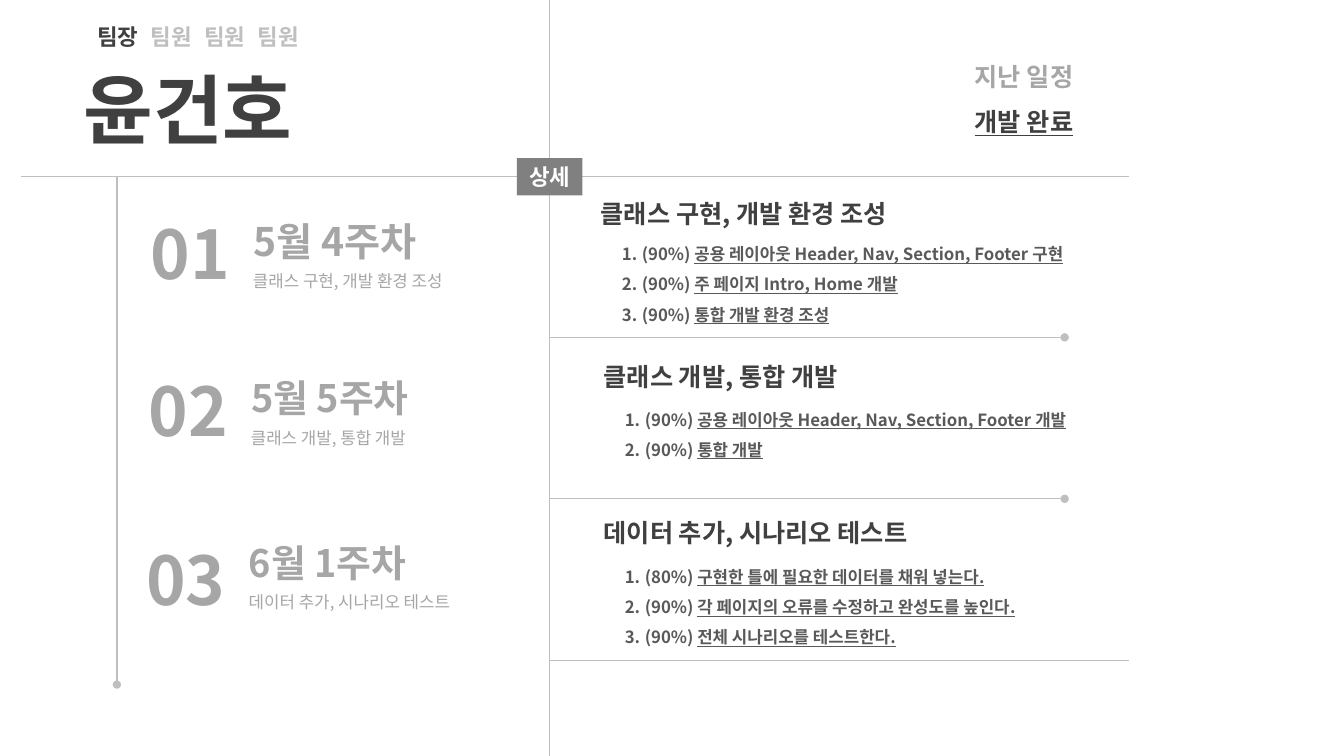
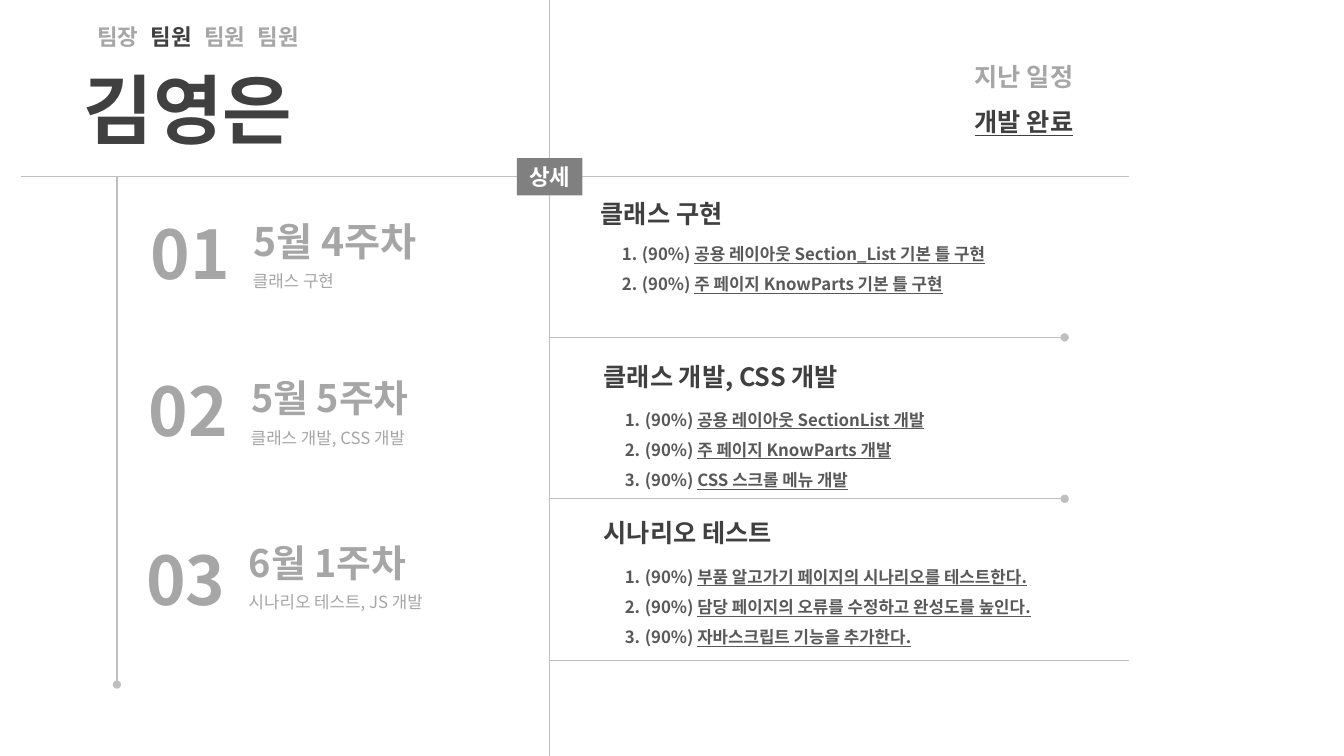
from lxml import etree
from pptx import Presentation
from pptx.dml.color import RGBColor
from pptx.enum import shapes, text
from pptx.oxml import ns
from pptx.util import Pt

FONT = "Noto Sans CJK KR"
DARK, BODY, MUTED, RULE, BADGE, WHITE = "404040", "595959", "A6A6A6", "BFBFBF", "808080", "FFFFFF"
WIDTH, HEIGHT = 960, 540
AXIS, HEADER_BOTTOM, RIGHT_EDGE = 392.5, 126, 806.5
NARROW, WIDE = 7.2, 8.64

WEEK_PLACES = [(98, 152, 3.6, 28), (96.5, 264.2, 3.6, 27), (95, 381.6, 0.7, 27)]
DETAIL_PLACES = [(420.5, 138.2, 25.2), (422.6, 254.2, 27.4), (422.6, 365.8, 28.1)]
WEEKS = ["5월 4주차", "5월 5주차", "6월 1주차"]

MEMBERS = [
    {
        "name": "윤건호", "role": 0, "other_roles": RULE,
        "summaries": ["클래스 구현, 개발 환경 조성", "클래스 개발, 통합 개발", "데이터 추가, 시나리오 테스트"],
        "details": [
            ("클래스 구현, 개발 환경 조성", [
                ("90%", "공용 레이아웃 Header, Nav, Section, Footer 구현"),
                ("90%", "주 페이지 Intro, Home 개발"),
                ("90%", "통합 개발 환경 조성")]),
            ("클래스 개발, 통합 개발", [
                ("90%", "공용 레이아웃 Header, Nav, Section, Footer 개발"),
                ("90%", "통합 개발")]),
            ("데이터 추가, 시나리오 테스트", [
                ("80%", "구현한 틀에 필요한 데이터를 채워 넣는다."),
                ("90%", "각 페이지의 오류를 수정하고 완성도를 높인다."),
                ("90%", "전체 시나리오를 테스트한다.")]),
        ],
    },
    {
        "name": "김영은", "role": 1, "other_roles": MUTED,
        "summaries": ["클래스 구현", "클래스 개발, CSS 개발", "시나리오 테스트, JS 개발"],
        "details": [
            ("클래스 구현", [
                ("90%", "공용 레이아웃 Section_List 기본 틀 구현"),
                ("90%", "주 페이지 KnowParts 기본 틀 구현")]),
            ("클래스 개발, CSS 개발", [
                ("90%", "공용 레이아웃 SectionList 개발"),
                ("90%", "주 페이지 KnowParts 개발"),
                ("90%", "CSS 스크롤 메뉴 개발")]),
            ("시나리오 테스트", [
                ("90%", "부품 알고가기 페이지의 시나리오를 테스트한다."),
                ("90%", "담당 페이지의 오류를 수정하고 완성도를 높인다."),
                ("90%", "자바스크립트 기능을 추가한다.")]),
        ],
    },
]


def rgb(value):
    return RGBColor.from_string(value)


def style(run, size, color, bold=True, underline=False, latin=FONT):
    font = run.font
    font.size, font.bold, font.name = Pt(size), bold, latin
    if underline:
        font.underline = True
    font.color.rgb = rgb(color)
    east_asian = etree.SubElement(run._r.get_or_add_rPr(), ns.qn("a:ea"))
    east_asian.set("typeface", FONT)


def prepare(frame, inset=NARROW, anchor=text.MSO_ANCHOR.TOP):
    frame.margin_left = frame.margin_right = Pt(inset)
    frame.margin_top = frame.margin_bottom = Pt(3.6)
    frame.word_wrap = True
    frame.auto_size = text.MSO_AUTO_SIZE.SHAPE_TO_FIT_TEXT
    frame.vertical_anchor = anchor


def add_frame(slide, box, inset=NARROW, anchor=text.MSO_ANCHOR.TOP):
    frame = slide.shapes.add_textbox(*map(Pt, box)).text_frame
    prepare(frame, inset, anchor)
    return frame


def add_label(slide, box, words, size, color, bold=True, inset=WIDE, align=text.PP_ALIGN.LEFT):
    frame = add_frame(slide, box, inset)
    frame.text = words
    paragraph = frame.paragraphs[0]
    paragraph.alignment = align
    style(paragraph.runs[0], size, color, bold)


def add_rule(slide, x1, y1, x2, y2, dotted=False):
    rule = slide.shapes.add_connector(shapes.MSO_CONNECTOR.STRAIGHT, *map(Pt, (x1, y1, x2, y2)))
    rule.line.color.rgb = rgb(RULE)
    rule.line.width = Pt(1)
    if dotted:
        etree.SubElement(rule.line._get_or_add_ln(), ns.qn("a:tailEnd")).set("type", "oval")
    etree.SubElement(rule._element.spPr, ns.qn("a:effectLst"))


def add_rules(slide):
    add_rule(slide, 15, HEADER_BOTTOM, RIGHT_EDGE, HEADER_BOTTOM)
    add_rule(slide, AXIS, 0, AXIS, HEIGHT)
    add_rule(slide, 83.5, HEADER_BOTTOM, 83.5, 489, dotted=True)
    for row, end in enumerate([760.5, 760.5, RIGHT_EDGE]):
        y = 241 + 115.3 * row
        add_rule(slide, AXIS, y, end, y, dotted=end < RIGHT_EDGE)


def add_badge(slide, box):
    badge = slide.shapes.add_shape(shapes.MSO_SHAPE.RECTANGLE, *map(Pt, box))
    badge.shadow.inherit = False
    badge.fill.solid()
    badge.fill.fore_color.rgb = rgb(BADGE)
    badge.line.fill.background()
    frame = badge.text_frame
    frame.text = "상세"
    frame.vertical_anchor = text.MSO_ANCHOR.MIDDLE
    frame.paragraphs[0].alignment = text.PP_ALIGN.CENTER
    style(frame.paragraphs[0].runs[0], 16, WHITE, latin="Arial")


def add_name(slide, box, name):
    title = slide.shapes.title
    title.left, title.top, title.width, title.height = map(Pt, box)
    frame = title.text_frame
    frame.text = name
    prepare(frame, anchor=text.MSO_ANCHOR.MIDDLE)
    frame.paragraphs[0].alignment = text.PP_ALIGN.LEFT
    style(frame.paragraphs[0].runs[0], 54, DARK)


def add_roles(slide, box, active, other_color):
    frame = add_frame(slide, box, inset=0, anchor=text.MSO_ANCHOR.MIDDLE)
    paragraph = frame.paragraphs[0]
    stops = etree.SubElement(paragraph._p.get_or_add_pPr(), ns.qn("a:tabLst"))
    for index, role in enumerate(["팀장", "팀원", "팀원", "팀원"]):
        if index:
            stop = etree.SubElement(stops, ns.qn("a:tab"))
            stop.set("pos", str(Pt(38.2 * index)))
            stop.set("algn", "l")
        run = paragraph.add_run()
        run.text = "\t" + role if index else role
        style(run, 16, DARK if index == active else other_color)


def add_status(slide, box):
    frame = add_frame(slide, box, WIDE)
    frame.text = "지난 일정\n개발 완료"
    for paragraph, color in zip(frame.paragraphs, [MUTED, DARK]):
        paragraph.line_spacing = 1.5
        style(paragraph.runs[0], 18, color, underline=color == DARK)


def add_week(slide, place, number, week, summary):
    left, top, rise, size = place
    add_label(slide, (left, top - rise, 75.6, 65.5), f"{number:02}", 48, MUTED,
              align=text.PP_ALIGN.CENTER)
    add_label(slide, (left + 74.2, top, 206, 40.5), week, size, MUTED)
    add_label(slide, (left + 75.6, top + 37.6, 206, 21.6), summary, 12, MUTED,
              bold=False, inset=NARROW)


def add_detail(slide, place, heading, tasks):
    left, top, drop = place
    add_label(slide, (left, top, 355, 29), heading, 18, DARK)
    frame = add_frame(slide, (left + 16.6, top + drop, 384, 24 * len(tasks)))
    for index, (progress, task) in enumerate(tasks):
        paragraph = frame.add_paragraph() if index else frame.paragraphs[0]
        properties = paragraph._p.get_or_add_pPr()
        properties.set("marL", str(Pt(14.3)))
        properties.set("indent", str(-Pt(14.3)))
        etree.SubElement(properties, ns.qn("a:buAutoNum")).set("type", "arabicPeriod")
        paragraph.line_spacing = 1.5
        for words, underline in [(f"({progress}) ", False), (task, True)]:
            run = paragraph.add_run()
            run.text = words
            style(run, 12, BODY, underline=underline)


def add_member_slide(deck, member):
    slide = deck.slides.add_slide(deck.slide_layouts[5])
    add_name(slide, (52.5, 41, 208, 72.7), member["name"])
    add_roles(slide, (69.5, 13, 165, 26.6), member["role"], member["other_roles"])
    add_rules(slide)
    add_badge(slide, (369.2, 113, 46.8, 26.6))
    add_status(slide, (687.6, 29.5, 101.5, 68.4))
    weeks = zip(WEEK_PLACES, WEEKS, member["summaries"])
    for number, (place, week, summary) in enumerate(weeks, 1):
        add_week(slide, place, number, week, summary)
    for place, (heading, tasks) in zip(DETAIL_PLACES, member["details"]):
        add_detail(slide, place, heading, tasks)


def main():
    deck = Presentation()
    deck.slide_width, deck.slide_height = Pt(WIDTH), Pt(HEIGHT)
    for member in MEMBERS:
        add_member_slide(deck, member)
    deck.save("out.pptx")


if __name__ == "__main__":
    main()
